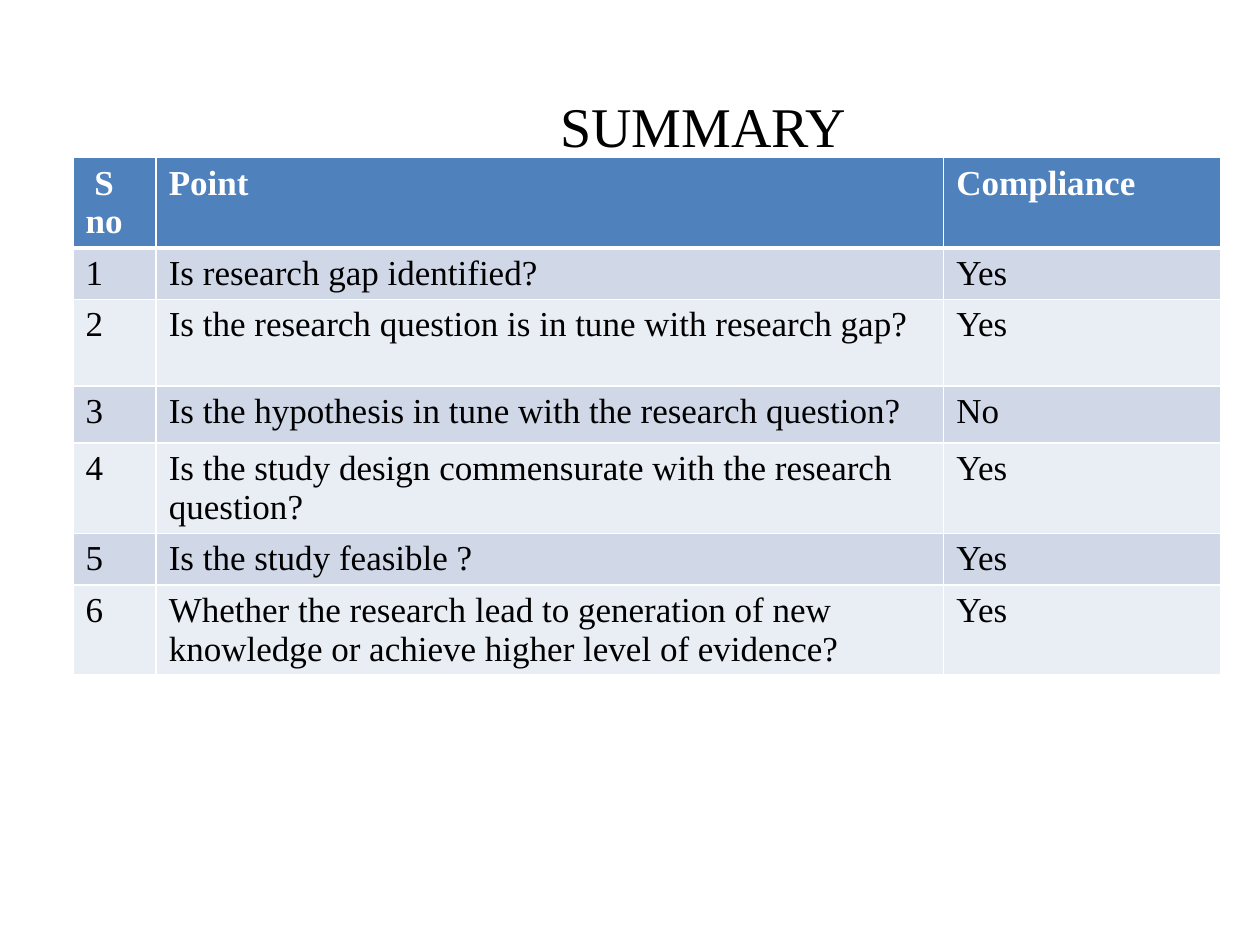
from dataclasses import dataclass

from lxml.etree import SubElement
from pptx import Presentation
from pptx.dml.color import RGBColor
from pptx.enum.text import MSO_ANCHOR, MSO_AUTO_SIZE, PP_ALIGN
from pptx.oxml.ns import qn
from pptx.util import Inches, Pt

COLORS = {
    "header": "4F81BD",
    "odd_band": "D0D8E8",
    "even_band": "E9EDF4",
    "border": "FFFFFF",
    "header_text": "FFFFFF",
    "text": "000000",
}
FONT = "Times New Roman"
COLUMN_WIDTHS = (0.66, 6.25, 2.2)
HEADINGS = (" S no", "Point", "Compliance")
HEADER_HEIGHT = 0.69


@dataclass
class ChecklistItem:
    point: str
    compliance: str
    height: float


ITEMS = [
    ChecklistItem("Is research gap identified?", "Yes", 0.39),
    ChecklistItem("Is the research question is in tune with research gap?", "Yes", 0.69),
    ChecklistItem("Is the hypothesis in tune with the research question?", "No", 0.45),
    ChecklistItem("Is the study design commensurate with the research question?", "Yes", 0.69),
    ChecklistItem("Is the study feasible ?", "Yes", 0.39),
    ChecklistItem(
        "Whether the research lead to generation of new knowledge "
        "or achieve higher level of evidence?", "Yes", 0.69),
]


def set_attributes(target, values: dict) -> None:
    for name, value in values.items():
        setattr(target, name, value)


def format_font(font, size: int, color: str, bold: bool = False) -> None:
    set_attributes(font, {"name": FONT, "size": Pt(size), "bold": bold})
    font.color.rgb = RGBColor.from_string(COLORS[color])


def add_borders(cell, top: int, bottom: int) -> None:
    properties = cell._tc.get_or_add_tcPr()
    for side, width in {"L": 1, "R": 1, "T": top, "B": bottom}.items():
        line = SubElement(properties, qn(f"a:ln{side}"), w=str(Pt(width)))
        fill = SubElement(line, qn("a:solidFill"))
        SubElement(fill, qn("a:srgbClr"), val=COLORS["border"])


def fill_row(table, row: int, texts: tuple, height: float) -> None:
    is_header = row == 0
    band = "header" if is_header else "odd_band" if row % 2 else "even_band"
    table.rows[row].height = Inches(height)
    for column, text in enumerate(texts):
        cell = table.cell(row, column)
        add_borders(cell, top=3 if row == 1 else 1, bottom=3 if is_header else 1)
        cell.fill.solid()
        cell.fill.fore_color.rgb = RGBColor.from_string(COLORS[band])
        cell.text = text
        format_font(cell.text_frame.paragraphs[0].runs[0].font, 20,
                    "header_text" if is_header else "text", is_header)


def add_title(slide, text: str) -> None:
    title = slide.shapes.title
    set_attributes(title, {"left": Inches(1.92), "top": Inches(0.67),
                           "width": Inches(4.97), "height": Inches(0.64)})
    frame = title.text_frame
    frame.text = text
    set_attributes(frame, {"auto_size": MSO_AUTO_SIZE.NONE, "word_wrap": True,
                           "vertical_anchor": MSO_ANCHOR.BOTTOM,
                           "margin_right": Inches(0.17)})
    paragraph = frame.paragraphs[0]
    paragraph.alignment = PP_ALIGN.RIGHT
    format_font(paragraph.runs[0].font, 32, "text")


def add_checklist(slide) -> None:
    height = HEADER_HEIGHT + sum(item.height for item in ITEMS)
    table = slide.shapes.add_table(
        len(ITEMS) + 1, len(HEADINGS), Inches(0.58), Inches(1.25),
        Inches(sum(COLUMN_WIDTHS)), Inches(height)).table
    for column, width in zip(table.columns, COLUMN_WIDTHS):
        column.width = Inches(width)
    fill_row(table, 0, HEADINGS, HEADER_HEIGHT)
    for number, item in enumerate(ITEMS, start=1):
        fill_row(table, number, (str(number), item.point, item.compliance), item.height)


def main() -> None:
    presentation = Presentation()
    set_attributes(presentation, {"slide_width": Inches(10), "slide_height": Inches(7.5)})
    # Title Only layout
    slide = presentation.slides.add_slide(presentation.slide_layouts[5])
    add_title(slide, "SUMMARY")
    add_checklist(slide)
    presentation.save("out.pptx")


if __name__ == "__main__":
    main()
